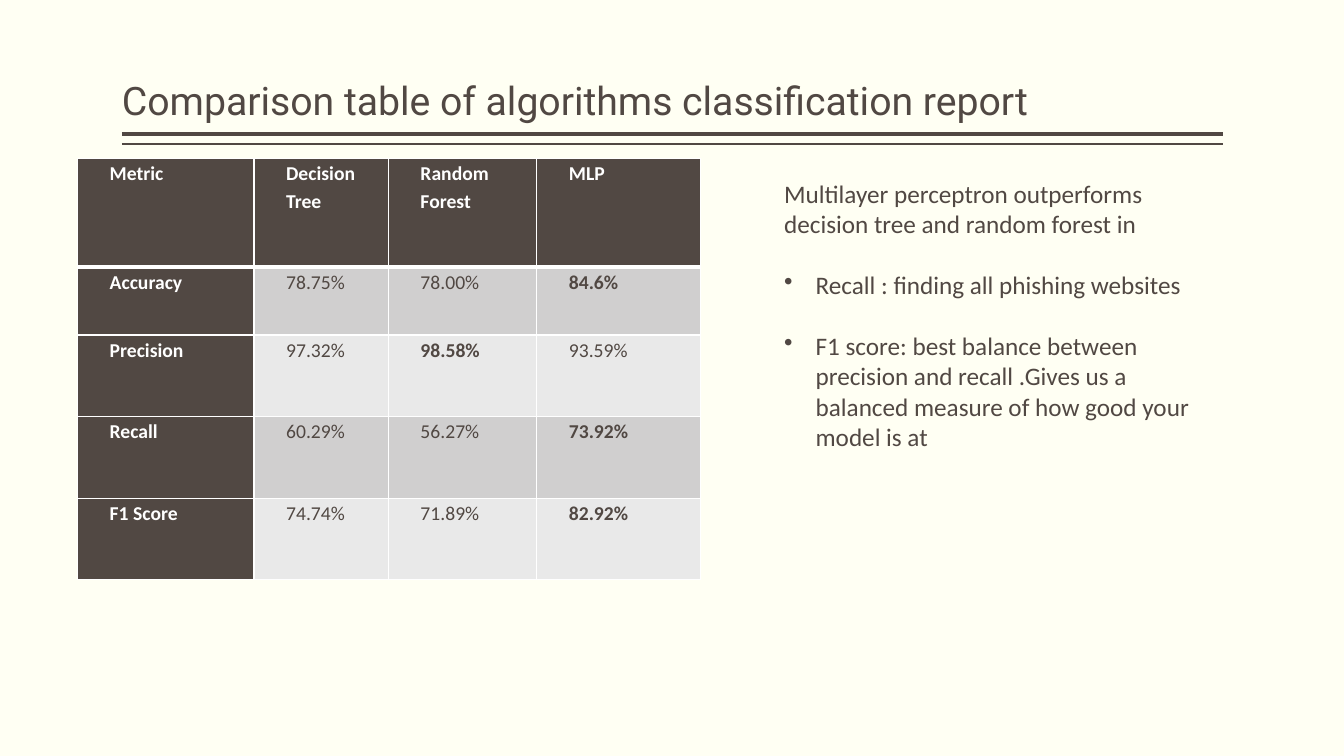
from lxml import etree
from pptx import Presentation
from pptx.dml.color import RGBColor
from pptx.enum import shapes, text
from pptx.oxml import ns
from pptx.util import Pt

HUES = {"page": "FFFFF3", "dark": "514843", "white": "FFFFFF",
        "odd": "D0CFCF", "even": "E9E9E9"}
COLS = [126, 96, 106, 117]
ROWS = [77.5, 48.5, 58.3, 58.3, 58.3]
DATA = [
    ["Metric", "Decision Tree", "Random Forest", "MLP"],
    ["Accuracy", "78.75%", "78.00%", "84.6%"],
    ["Precision", "97.32%", "98.58%", "93.59%"],
    ["Recall", "60.29%", "56.27%", "73.92%"],
    ["F1 Score", "74.74%", "71.89%", "82.92%"],
]
NOTES = [
    "Multilayer perceptron outperforms decision tree and random forest in",
    "Recall : finding all phishing websites",
    "F1 score: best balance between precision and recall .Gives us a "
    "balanced measure of how good your model is at",
]


def hue(name):
    return RGBColor.from_string(HUES[name])


def paint(fill, name):
    fill.solid()
    fill.fore_color.rgb = hue(name)


def write(par, words, size=18, font="Calibri", color="dark", bold=False,
          line=1.0, before=0, after=0, left=0, bullet=None):
    run = par.add_run()
    run.text = words
    run.font.size = Pt(size)
    run.font.name = font
    run.font.bold = bold
    run.font.color.rgb = hue(color)
    par.line_spacing = line
    par.space_before = Pt(before)
    par.space_after = Pt(after)
    props = par._p.get_or_add_pPr()
    props.set("marL", str(Pt(left)))
    props.set("indent", str(-Pt(left) if bullet else 0))
    if bullet:
        etree.SubElement(props, ns.qn("a:buChar")).set("char", bullet)


def add_box(slide, left, top, width, height, side=7.2):
    frame = slide.shapes.add_textbox(
        Pt(left), Pt(top), Pt(width), Pt(height)).text_frame
    frame.word_wrap = True
    frame.margin_left = frame.margin_right = Pt(side)
    return frame


def add_rule(slide, top, width):
    rule = slide.shapes.add_connector(
        shapes.MSO_CONNECTOR.STRAIGHT, Pt(87.1), Pt(top), Pt(873.4), Pt(top))
    rule.line.color.rgb = hue("dark")
    rule.line.width = Pt(width)
    etree.SubElement(rule._element.spPr, ns.qn("a:effectLst"))


def edge(cell, side, width):
    line = etree.SubElement(cell._tc.get_or_add_tcPr(), ns.qn("a:ln" + side))
    line.set("w", str(Pt(width)))
    fill = etree.SubElement(line, ns.qn("a:solidFill"))
    etree.SubElement(fill, ns.qn("a:srgbClr")).set("val", HUES["white"])


def fill_cell(cell, words, row, col, bold):
    head = row == 0 or col == 0
    cell.margin_left = cell.margin_right = Pt(5)
    cell.margin_top = cell.margin_bottom = 0
    for side in "LRTB":
        thick = (row, side) in [(0, "B"), (1, "T")]
        edge(cell, side, 3 if thick else 1)
    paint(cell.fill, "dark" if head else "odd" if row % 2 else "even")
    write(cell.text_frame.paragraphs[0], words, size=14,
          color="white" if head else "dark", bold=head or bold,
          line=1.15, after=8, left=18)


def add_scores(slide):
    table = slide.shapes.add_table(
        len(ROWS), len(COLS), Pt(55.4), Pt(113.3),
        Pt(sum(COLS)), Pt(sum(ROWS))).table
    for col, width in zip(table.columns, COLS):
        col.width = Pt(width)
    for row, height in zip(table.rows, ROWS):
        row.height = Pt(height)
    for r, items in enumerate(DATA):
        best = max(items[1:])
        for c, words in enumerate(items):
            fill_cell(table.cell(r, c), words, r, c, words == best)


def add_notes(slide):
    frame = add_box(slide, 553, 123.8, 311, 225.4)
    for i, words in enumerate(NOTES):
        par = frame.add_paragraph() if i else frame.paragraphs[0]
        write(par, words, before=22 if i else 0,
              left=22.5 if i else 0, bullet="•" if i else None)


def main():
    deck = Presentation()
    deck.slide_width, deck.slide_height = Pt(960), Pt(540)
    slide = deck.slides.add_slide(deck.slide_layouts[6])
    paint(slide.background.fill, "page")
    add_rule(slide, 95.8, 3)
    add_rule(slide, 103, 1)
    title = add_box(slide, 87.1, 5.8, 786.3, 86.4, side=0)
    title.vertical_anchor = text.MSO_ANCHOR.BOTTOM
    write(title.paragraphs[0],
          "Comparison table of algorithms classification report",
          size=28, font="Roboto", line=0.9)
    add_scores(slide)
    add_notes(slide)
    deck.save("out.pptx")


if __name__ == "__main__":
    main()
